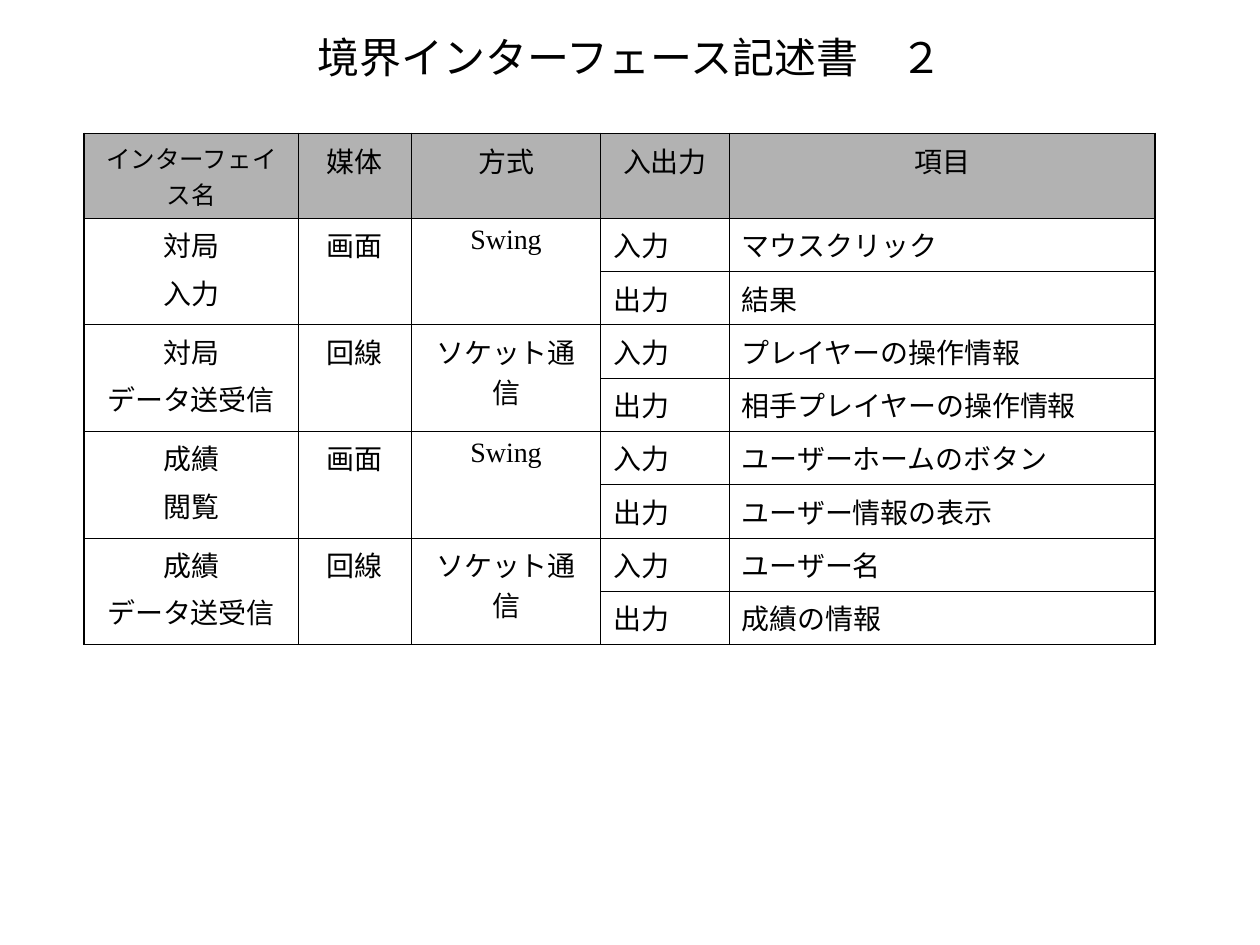
from lxml import etree
from pptx import Presentation
from pptx.dml.color import RGBColor
from pptx.enum import text
from pptx.oxml import ns
from pptx.util import Pt

COLORS = {"ink": "000000", "header": "B2B2B2", "paper": "FFFFFF"}
FONT = "Times New Roman"
THIN, THICK = 0.45, 1.08
COL_WIDTHS = [122.4, 64.8, 108, 73.6, 243.2]
HEADER_HEIGHT, ROW_HEIGHT = 48.4, 30.45
HEADERS = ["インターフェイス名", "媒体", "方式", "入出力", "項目"]
INTERFACES = [
    ("対局\n入力", "画面", "Swing", "マウスクリック", "結果"),
    ("対局\nデータ送受信", "回線", "ソケット通信",
     "プレイヤーの操作情報", "相手プレイヤーの操作情報"),
    ("成績\n閲覧", "画面", "Swing", "ユーザーホームのボタン", "ユーザー情報の表示"),
    ("成績\nデータ送受信", "回線", "ソケット通信", "ユーザー名", "成績の情報"),
]


def format_text(tf, size, align, before=0):
    for p in tf.paragraphs:
        p.alignment = align
        p.space_before = Pt(before)
        for r in p.runs:
            r.font.size = Pt(size)
            r.font.name = FONT
            r.font.color.rgb = RGBColor.from_string(COLORS["ink"])


def add_title(s, title):
    sp = s.shapes.title
    sp.left, sp.top, sp.width, sp.height = Pt(54), Pt(15), Pt(612), Pt(34.5)
    tf = sp.text_frame
    tf.text = title
    tf.vertical_anchor = text.MSO_ANCHOR.MIDDLE
    format_text(tf, 24, text.PP_ALIGN.CENTER)


def set_borders(cell, widths):
    tc_pr = cell._tc.get_or_add_tcPr()
    for side, width in zip("LRTB", widths):
        ln = etree.SubElement(tc_pr, ns.qn(f"a:ln{side}"), w=str(int(Pt(width))))
        fill = etree.SubElement(ln, ns.qn("a:solidFill"))
        etree.SubElement(fill, ns.qn("a:srgbClr"), val=COLORS["ink"])


def fill_cell(cell, words, size, align, before):
    cell.text_frame.text = words
    format_text(cell.text_frame, size, align, before)


def style_cells(table, last_row, last_col):
    for row in range(last_row + 1):
        for col in range(last_col + 1):
            cell = table.cell(row, col)
            bottom = row + cell.span_height - 1 if cell.is_merge_origin else row
            edges = (col == 0, col == last_col, row == 0, bottom == last_row)
            set_borders(cell, [THICK if edge else THIN for edge in edges])
            cell.fill.solid()
            color = COLORS["header" if row == 0 else "paper"]
            cell.fill.fore_color.rgb = RGBColor.from_string(color)


def add_interface_table(s):
    rows, cols = 1 + 2 * len(INTERFACES), len(HEADERS)
    heights = [HEADER_HEIGHT] + [ROW_HEIGHT] * (rows - 1)
    frame = s.shapes.add_table(rows, cols, Pt(48), Pt(76.3),
                               Pt(sum(COL_WIDTHS)), Pt(sum(heights)))
    table = frame.table
    for column, width in zip(table.columns, COL_WIDTHS):
        column.width = Pt(width)
    for row, height in zip(table.rows, heights):
        row.height = Pt(height)

    center, left = text.PP_ALIGN.CENTER, text.PP_ALIGN.LEFT
    for col, words in enumerate(HEADERS):
        size, before = (14, 3.5) if col == 0 else (16, 4)
        fill_cell(table.cell(0, col), words, size, center, before)
    for i, (*shared, source, result) in enumerate(INTERFACES):
        top = 1 + 2 * i
        for col, words in enumerate(shared):
            table.cell(top, col).merge(table.cell(top + 1, col))
            fill_cell(table.cell(top, col), words, 16, center, 4)
        for row, pair in enumerate([("入力", source), ("出力", result)], top):
            for col, words in enumerate(pair, len(shared)):
                fill_cell(table.cell(row, col), words, 16, left, 4)
    style_cells(table, rows - 1, cols - 1)


def main():
    prs = Presentation()
    prs.slide_width, prs.slide_height = Pt(720), Pt(540)
    s = prs.slides.add_slide(prs.slide_layouts[5])
    add_title(s, "境界インターフェース記述書　２")
    add_interface_table(s)
    prs.save("out.pptx")


if __name__ == "__main__":
    main()
